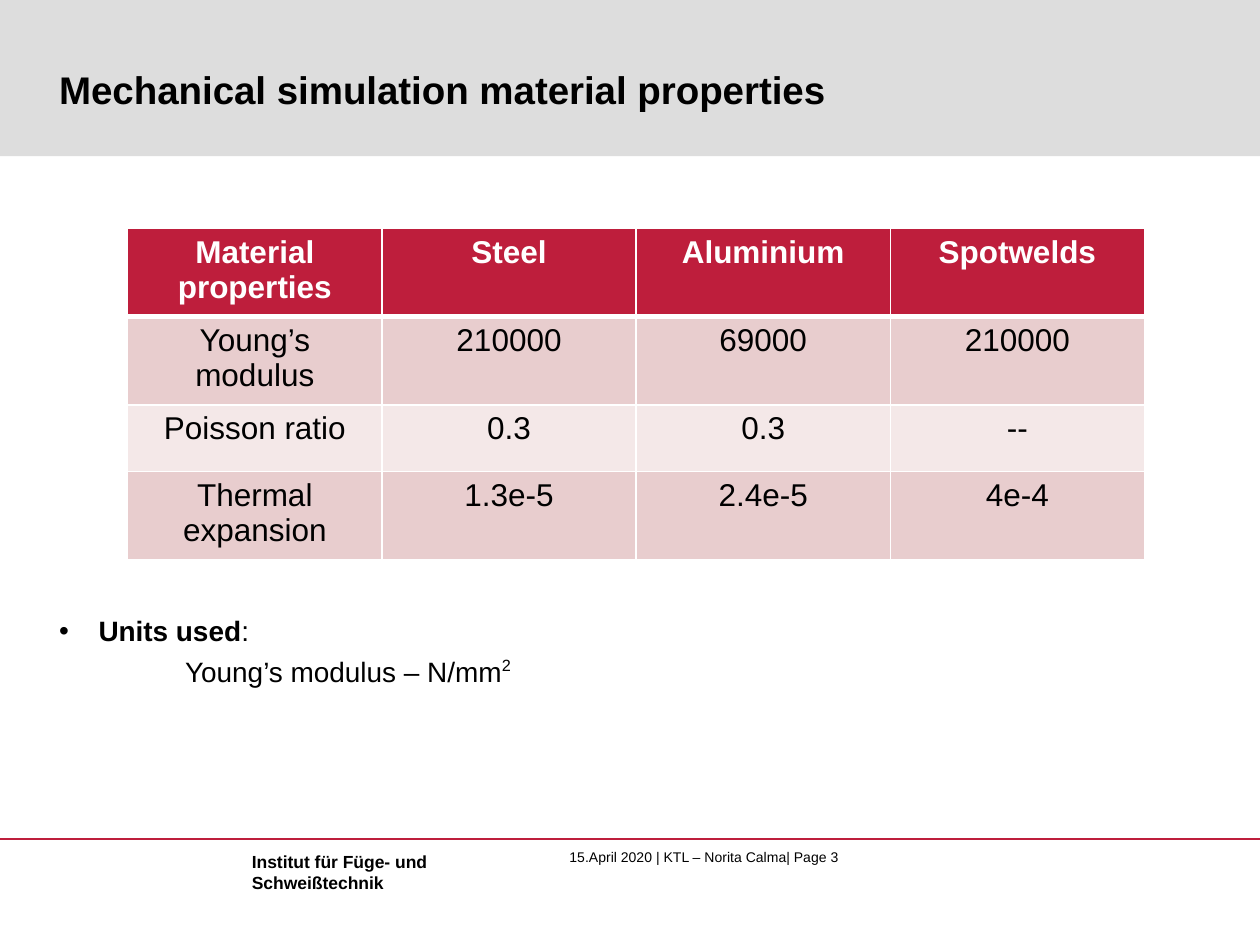
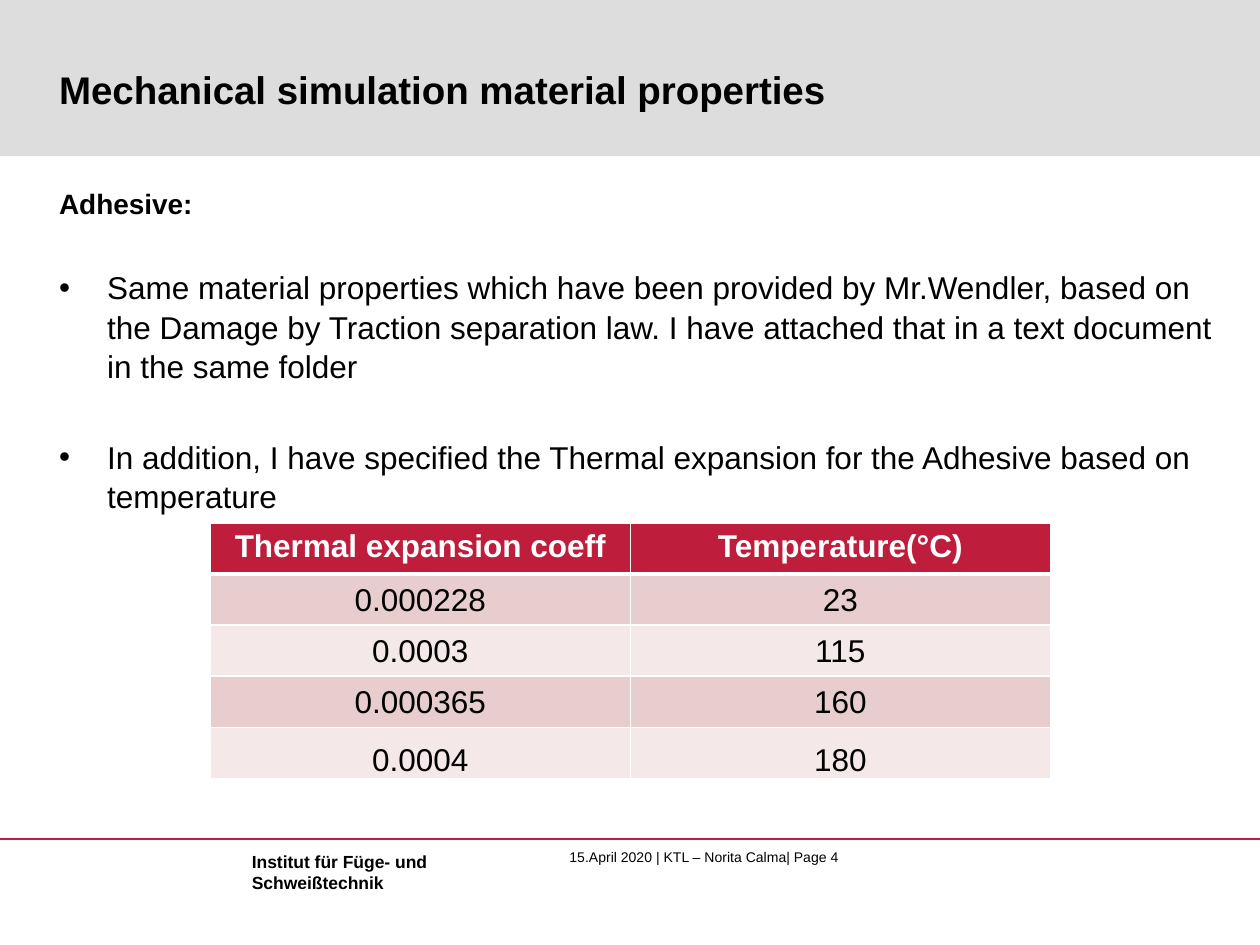
import pptx
import pptx.util
import pptx.dml.color
import pptx.enum.shapes
import pptx.enum.text
import pptx.oxml
import pptx.oxml.ns

Pt = pptx.util.Pt
ALIGN = pptx.enum.text.PP_ALIGN
ANCHOR = pptx.enum.text.MSO_ANCHOR

# Shared look
HUES = {"red": "BE1E3C", "grey": "DDDDDD", "rose": "E8CDCE",
        "pale": "F4E8E8", "white": "FFFFFF", "black": "000000"}
FACE = "Arial"
TITLE = "Mechanical simulation material properties"
WIDE, HIGH = 720, 540
LEFT = 33.8
FLAT = {"margin_left": 0, "margin_top": 0, "margin_right": 0, "margin_bottom": 0}
NOFIT = {"word_wrap": True, "auto_size": pptx.enum.text.MSO_AUTO_SIZE.NONE}


def rgb(hue):
    return pptx.dml.color.RGBColor.from_string(HUES[hue])


def apply(item, form):
    for name, value in form.items():
        setattr(item, name, value)


def place(shape, left, top, width, height):
    apply(shape, {"left": Pt(left), "top": Pt(top),
                  "width": Pt(width), "height": Pt(height)})


def write(para, text, size, bold=False, hue="black"):
    run = para.add_run()
    run.text = text
    apply(run.font, {"name": FACE, "size": Pt(size), "bold": bold})
    run.font.color.rgb = rgb(hue)
    return run


def lines(frame, count):
    """Return the first paragraph and enough new ones to make count."""
    return [frame.paragraphs[0]] + [frame.add_paragraph() for _ in range(count - 1)]


# Text elements
def label(slide, box, texts, size, bold=False, form=None):
    shape = slide.shapes.add_textbox(0, 0, 0, 0)
    place(shape, *box)
    apply(shape.text_frame, form or {})
    for para, text in zip(lines(shape.text_frame, len(texts)), texts):
        write(para, text, size, bold)


def indent(para, left, hang=0, dot=False):
    props = para._p.get_or_add_pPr()
    props.set("marL", str(Pt(left)))
    props.set("indent", str(-Pt(hang)))
    bullet = pptx.oxml.ns.qn("a:buChar" if dot else "a:buNone")
    mark = props.makeelement(bullet, {"char": "•"} if dot else {})
    props.append(mark)


def body(slide, items, low=0):
    """Each item: left indent, hang, bullet, space before, runs."""
    shape = slide.placeholders[1]
    place(shape, LEFT, 106, 659, 364.2)
    frame = shape.text_frame
    apply(frame, {**FLAT, **NOFIT, "margin_bottom": Pt(low),
                  "vertical_anchor": ANCHOR.BOTTOM if low else ANCHOR.TOP})
    for para, (left, hang, dot, gap, runs) in zip(lines(frame, len(items)), items):
        apply(para, {"space_before": Pt(gap), "line_spacing": 1.04})
        indent(para, left, hang, dot)
        for text, size, bold in runs:
            write(para, text, size, bold)
    return frame


# Table
def border(cell, side, width):
    props = cell._tc.get_or_add_tcPr()
    props.append(pptx.oxml.parse_xml(
        f'<a:ln{side} {pptx.oxml.ns.nsdecls("a")} w="{Pt(width)}"><a:solidFill>'
        f'<a:srgbClr val="{HUES["white"]}"/></a:solidFill></a:ln{side}>'))


def grid(slide, box, rows, form=None):
    left, top, width, height = map(Pt, box)
    table = slide.shapes.add_table(len(rows), len(rows[0]),
                                   left, top, width, height).table
    for r, row in enumerate(rows):
        head = r == 0
        fill = "red" if head else ("pale", "rose")[r % 2]
        for c, text in enumerate(row):
            cell = table.cell(r, c)
            for side in "LRTB":
                thick = (head and side == "B") or (r == 1 and side == "T")
                border(cell, side, 3 if thick else 1)
            cell.fill.solid()
            cell.fill.fore_color.rgb = rgb(fill)
            if not head:
                apply(cell, form or {})
            para = cell.text_frame.paragraphs[0]
            para.alignment = ALIGN.CENTER
            write(para, text, 18, head, "white" if head else "black")
    return table


# Band, title and footer of every slide
def start(deck, page):
    slide = deck.slides.add_slide(deck.slide_layouts[1])
    band = slide.shapes.add_shape(pptx.enum.shapes.MSO_SHAPE.RECTANGLE,
                                  0, 0, Pt(WIDE), Pt(89.3))
    band.shadow.inherit = False
    band.fill.solid()
    band.fill.fore_color.rgb = rgb("grey")
    band.line.fill.background()
    slide.shapes._spTree.insert(2, band._element)

    title = slide.shapes.title
    place(title, LEFT, 8.6, 659.5, 55.4)
    apply(title.text_frame, {**FLAT, **NOFIT, "vertical_anchor": ANCHOR.BOTTOM})
    para = title.text_frame.paragraphs[0]
    para.alignment = ALIGN.LEFT
    write(para, TITLE, 22, True)

    rule = slide.shapes.add_connector(pptx.enum.shapes.MSO_CONNECTOR.STRAIGHT,
                                      0, Pt(479.5), Pt(WIDE), Pt(479.5))
    rule.line.color.rgb = rgb("red")
    rule.line.width = Pt(0.75)
    props = rule._element.spPr
    props.append(props.makeelement(pptx.oxml.ns.qn("a:effectLst"), {}))

    label(slide, (325.4, 484.6, 394.6, 19.4),
          [f"15.April 2020 | KTL – Norita Calma| Page {page}"], 8,
          form={**FLAT, "word_wrap": True})
    label(slide, (136.8, 482.8, 116.6, 31),
          ["Institut für Füge- und", "Schweißtechnik"], 10, True,
          {"word_wrap": False})
    return slide


def solids(deck):
    slide = start(deck, 3)
    frame = body(slide, [
        (22.5, 22.5, True, 3.2, [("Units used", 16, True), (":", 16, False)]),
        (72, 0, False, 3.2, [("Young’s modulus – N/mm", 16, False),
                             ("2", 16, False)]),
    ], low=77)
    power = frame.paragraphs[1].runs[1]
    power.font._element.set("baseline", "40000")
    grid(slide, (73, 130.5, 581, 152.6), [
        ("Material properties", "Steel", "Aluminium", "Spotwelds"),
        ("Young’s modulus", "210000", "69000", "210000"),
        ("Poisson ratio", "0.3", "0.3", "--"),
        ("Thermal expansion", "1.3e-5", "2.4e-5", "4e-4"),
    ])


def glue(deck):
    slide = start(deck, 4)
    body(slide, [
        (0, 0, False, 0, [("Adhesive:", 16, True)]),
        (27.4, 27.4, True, 26.6, [(
            "Same material properties which have been provided by Mr.Wendler, "
            "based on the Damage by Traction separation law. I have attached "
            "that in a text document in the same folder", 18, False)]),
        (27.4, 27.4, True, 29.5, [(
            "In addition, I have specified the Thermal expansion for the "
            "Adhesive based on temperature", 18, False)]),
    ])
    tight = {"margin_left": Pt(0.75), "margin_top": Pt(0.75),
             "margin_right": Pt(0.75), "margin_bottom": 0}
    table = grid(slide, (120.2, 298.8, 480, 146), [
        ("Thermal expansion coeff", "Temperature(°C)"),
        ("0.000228", "23"),
        ("0.0003", "115"),
        ("0.000365", "160"),
        ("0.0004", "180"),
    ], {**tight, "vertical_anchor": ANCHOR.MIDDLE})
    for cell in table.rows[4].cells:
        cell.vertical_anchor = ANCHOR.BOTTOM


def main():
    deck = pptx.Presentation()
    apply(deck, {"slide_width": Pt(WIDE), "slide_height": Pt(HIGH)})
    solids(deck)
    glue(deck)
    deck.save("out.pptx")


if __name__ == "__main__":
    main()
